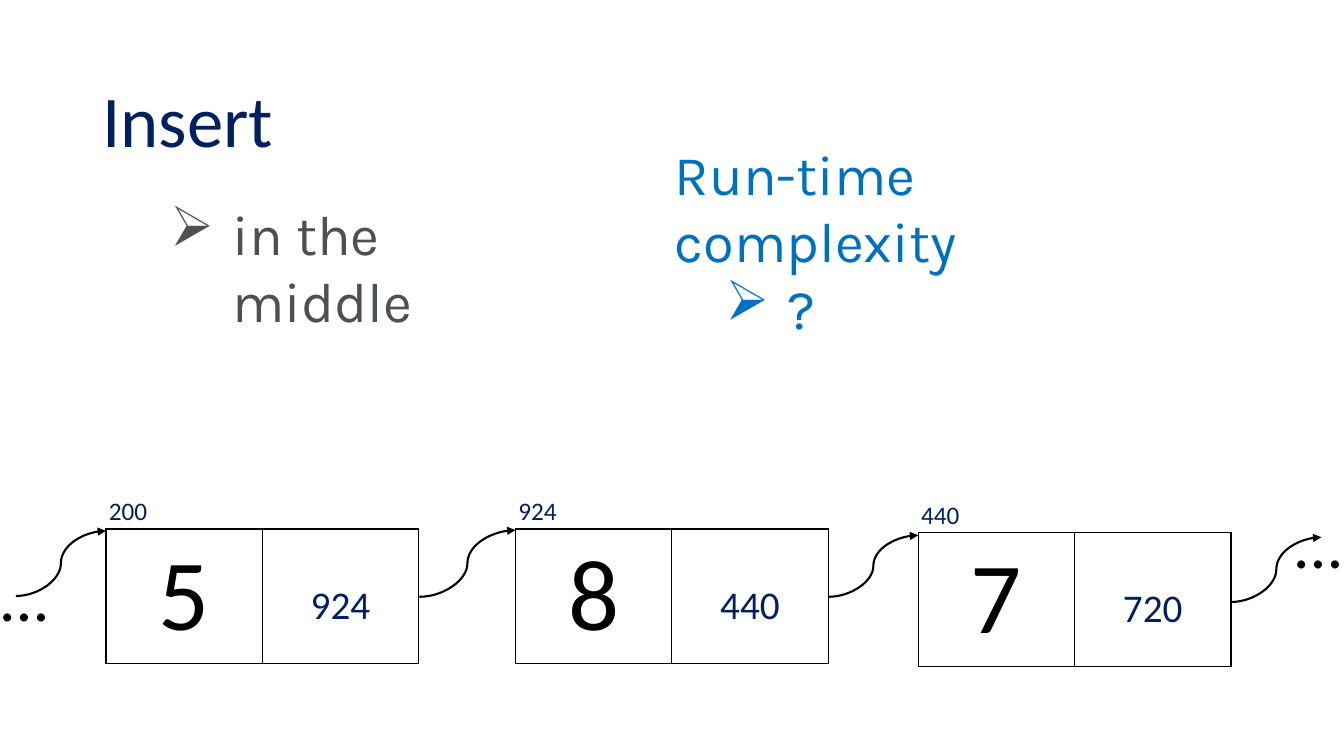
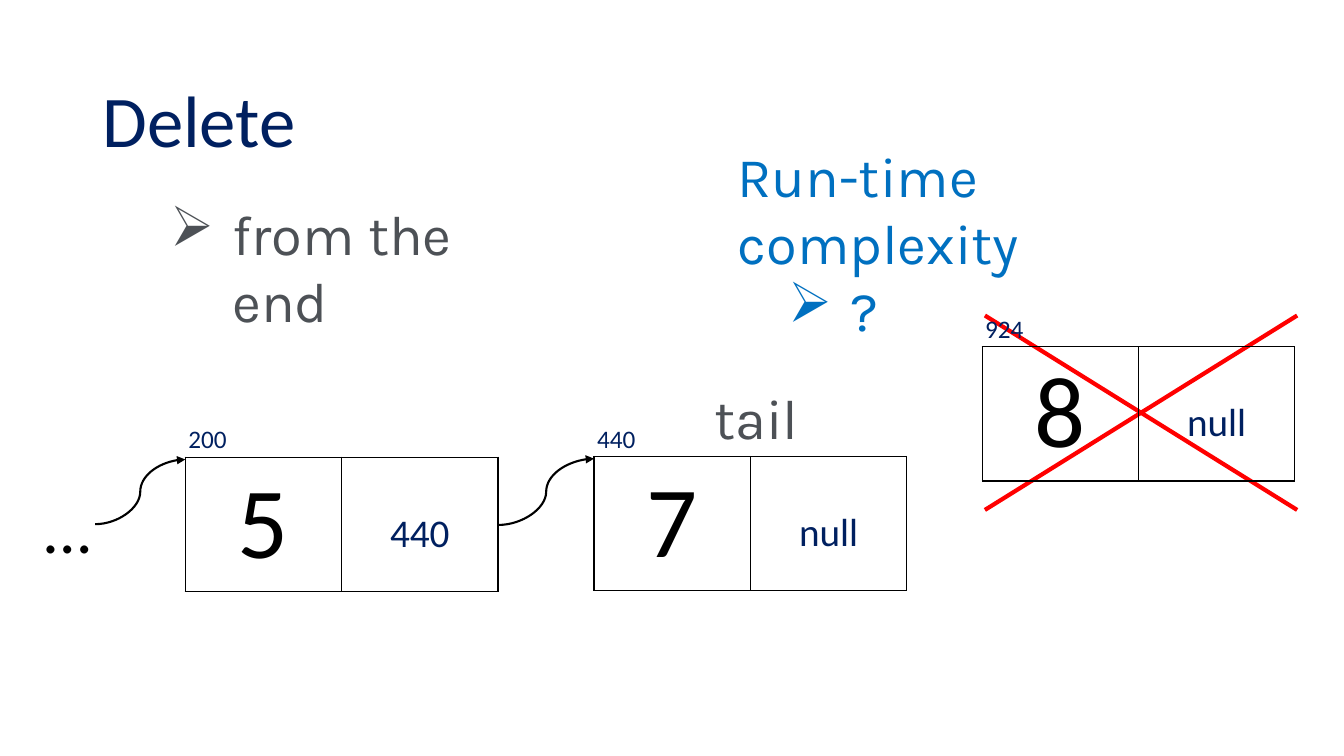
from typing import NamedTuple

from lxml import etree
from pptx import Presentation
from pptx.dml.color import RGBColor
from pptx.enum.shapes import MSO_CONNECTOR
from pptx.enum.text import MSO_ANCHOR, MSO_AUTO_SIZE, PP_ALIGN
from pptx.oxml.ns import qn
from pptx.util import Cm, Pt

CURVE, STRAIGHT = MSO_CONNECTOR.CURVE, MSO_CONNECTOR.STRAIGHT
LEFT, CENTER = PP_ALIGN.LEFT, PP_ALIGN.CENTER
MIDDLE = MSO_ANCHOR.MIDDLE
GROW = MSO_AUTO_SIZE.SHAPE_TO_FIT_TEXT

NAVY, BLUE, GREY = "002060", "0070C0", "4D5156"
BLACK, RED = "000000", "FF0000"
CELL_W, NODE_H = 3.94, 3.38


class Style(NamedTuple):
    face: str
    size: int
    color: str
    align: PP_ALIGN = LEFT


TITLE = Style("Calibri", 52, NAVY)
BODY = Style("Karla", 40, GREY)
QUERY = Style("Karla", 40, BLUE)
VALUE = Style("Calibri", 72, BLACK, CENTER)
LINK = Style("Calibri", 28, NAVY, CENTER)
LABEL = Style("Calibri", 18, NAVY, CENTER)
DOTS = Style("Calibri", 48, BLACK)


class Box(NamedTuple):
    x: float
    y: float
    w: float
    h: float


class Node(NamedTuple):
    """A list node: its place, value, next address and own address."""
    x: float
    y: float
    value: str
    link: str
    label: str


class Line(NamedTuple):
    x1: float
    y1: float
    x2: float
    y2: float


class Page(NamedTuple):
    title: str
    point: str
    point_w: float
    query: tuple[float, float]
    dots: list[tuple[float, float]]
    cross: list[Line]
    nodes: list[Node]
    arrows: list[Line]
    tail: Box | None = None


PAGES = [
    Page("Insert", "in the middle", 11.28, (16.76, 3.38),
         [(32.33, 12.5), (-0.28, 13.84)], [],
         [Node(12.99, 13.33, "8", "440", "924"),
          Node(2.67, 13.33, "5", "924", "200"),
          Node(23.14, 13.42, "7", "720", "440")],
         [Line(20.88, 15.04, 23.14, 13.49),
          Line(0.4, 15.02, 2.67, 13.38),
          Line(10.57, 15.04, 12.99, 13.36),
          Line(31.03, 15.17, 33.3, 13.54)]),
    Page("Delete", "from the end", 11.1, (18.34, 3.43),
         [(0.81, 12.12)],
         [Line(24.82, 12.85, 32.69, 7.95),
          Line(24.82, 7.95, 32.69, 12.85)],
         [Node(24.75, 8.74, "8", "null", "924"),
          Node(4.67, 11.52, "5", "440", "200"),
          Node(14.97, 11.5, "7", "null", "440")],
         [Line(2.4, 13.21, 4.67, 11.58),
          Line(12.56, 13.23, 14.97, 11.56)],
         Box(17.75, 9.53, 3.43, 1.96)),
]


def rgb(color: str) -> RGBColor:
    return RGBColor.from_string(color)


def write(para, text: str, style: Style, bullet: bool = False) -> None:
    para.text = text
    para.alignment = style.align
    if bullet:
        para.level = 1
        props = para._p.get_or_add_pPr()
        props.set("marL", str(Cm(2.84)))
        props.set("indent", str(Cm(-1.57)))
        etree.SubElement(props, qn("a:buChar"), char="➢")
    font = para.font
    font.name, font.size = style.face, Pt(style.size)
    font.color.rgb = rgb(style.color)


def add_text(slide, box: Box, style: Style, text: str = "",
             point: str = "", wrap: bool = True):
    """Add a box with a plain line, a bulleted line, or both."""
    frame = slide.shapes.add_textbox(*map(Cm, box)).text_frame
    frame.word_wrap = wrap
    frame.auto_size = GROW
    para = frame.paragraphs[0]
    if text:
        write(para, text, style)
    if point:
        write(frame.add_paragraph() if text else para, point, style, True)
    return frame


def add_line(slide, line: Line, kind: MSO_CONNECTOR, color: str,
             width: float, arrow: bool = False) -> None:
    link = slide.shapes.add_connector(kind, *map(Cm, line))
    link.line.color.rgb = rgb(color)
    link.line.width = Pt(width)
    if arrow:
        etree.SubElement(link.line._get_or_add_ln(), qn("a:tailEnd"),
                         type="triangle")
    etree.SubElement(link._element.spPr, qn("a:effectLst"))


def set_cell(cell, text: str, style: Style, top: float) -> None:
    """Fill one cell and give it a thin black border."""
    write(cell.text_frame.paragraphs[0], text, style)
    cell.margin_top = Cm(top)
    props = cell._tc.get_or_add_tcPr()
    for side in "LRTB":
        edge = etree.SubElement(props, qn(f"a:ln{side}"), w=str(Pt(1)))
        fill = etree.SubElement(edge, qn("a:solidFill"))
        etree.SubElement(fill, qn("a:srgbClr"), val=BLACK)
    cell.fill.background()


def add_node(slide, node: Node) -> None:
    table = slide.shapes.add_table(
        1, 2, Cm(node.x), Cm(node.y), Cm(2 * CELL_W), Cm(NODE_H)).table
    table.first_row = table.horz_banding = False
    set_cell(table.cell(0, 0), node.value, VALUE, 0.13)
    set_cell(table.cell(0, 1), node.link, LINK, 1.33)
    add_text(slide, Box(node.x - 0.57, node.y - 0.97, 2.26, 1.02),
             LABEL, node.label)


def add_page(deck, page: Page) -> None:
    slide = deck.slides.add_slide(deck.slide_layouts[6])
    title = add_text(slide, Box(2.33, 1.55, 29.21, 3.15), TITLE, page.title)
    title.auto_size = MSO_AUTO_SIZE.NONE
    title.vertical_anchor = MIDDLE
    title.paragraphs[0].line_spacing = 0.9
    add_text(slide, Box(2.77, 4.9, page.point_w, 1.96), BODY,
             point=page.point)
    for line in page.cross:
        add_line(slide, line, STRAIGHT, RED, 3)
    for node in page.nodes:
        add_node(slide, node)
    for line in page.arrows:
        add_line(slide, line, CURVE, BLACK, 1.5, arrow=True)
    for x, y in page.dots:
        add_text(slide, Box(x, y, 1.8, 2.31), DOTS, "...", wrap=False)
    if page.tail:
        add_text(slide, page.tail, BODY, "tail")
    add_text(slide, Box(*page.query, 12.55, 3.68), QUERY,
             "Run-time complexity", "?")


def main() -> None:
    deck = Presentation()
    deck.slide_width, deck.slide_height = Cm(33.87), Cm(19.05)
    for page in PAGES:
        add_page(deck, page)
    deck.save("out.pptx")


if __name__ == "__main__":
    main()
